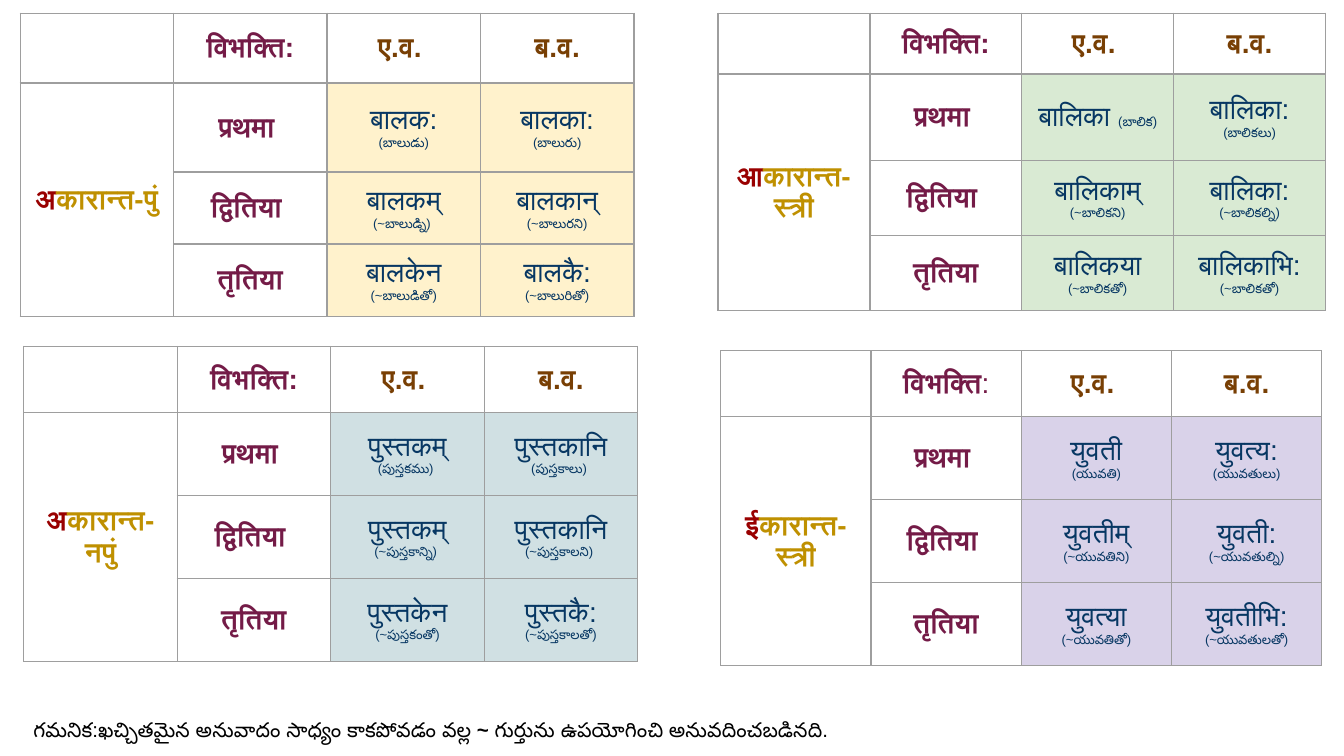
from pptx import Presentation
from pptx.dml.color import RGBColor
from pptx.enum import text
from pptx.oxml.ns import qn
from pptx.util import Cm, Pt
from lxml import etree

FONT = "Arial"
BIG, SMALL, NOTE = 15, 7, 11
PLUM = RGBColor(0x74, 0x1B, 0x47)
BROWN = RGBColor(0x78, 0x3F, 0x04)
RED = RGBColor(0x99, 0x00, 0x00)
GOLD = RGBColor(0xBF, 0x90, 0x00)
NAVY = RGBColor(0x07, 0x37, 0x63)
BLACK = RGBColor(0x00, 0x00, 0x00)
GREY = RGBColor(0x9E, 0x9E, 0x9E)
CREAM = RGBColor(0xFF, 0xF2, 0xCC)
TEAL = RGBColor(0xD0, 0xE0, 0xE3)
LILAC = RGBColor(0xD9, 0xD2, 0xE9)
GREEN = RGBColor(0xD9, 0xEA, 0xD3)

CASES = ["प्रथमा ", "द्वितिया ", "तृतिया"]

# Box (left, top, column width, row heights) in cm; label as first letter and
# rest; one (singular, plural) pair per case, a new line being a new paragraph
TABLES = [
    dict(box=(0.38, 0.25, 2.9, [1.32, 1.68, 1.04, 1.04]), tint=CREAM,
         label=("अ", "कारान्त-पुं"),
         forms=[("बालक:\n(బాలుడు)", "बालका:\n(బాలురు)"),
                ("बालकम्\n(~బాలుడ్ని) ", "बालकान्\n(~బాలురని)"),
                ("बालकेन (~బాలుడితో)", "बालकै: (~బాలురితో)")]),
    dict(box=(0.45, 6.55, 2.9, [1.24, 1.57, 1.57, 1.57]), tint=TEAL,
         label=("अ", "कारान्त-\nनपुं"),
         forms=[("पुस्तकम् (పుస్తకము) ", "पुस्तकानि (పుస్తకాలు) "),
                ("पुस्तकम्\n(~పుస్తకాన్ని) ", "पुस्तकानि\n(~పుస్తకాలని) "),
                ("पुस्तकेन (~పుస్తకంతో)", "पुस्तकै: (~పుస్తకాలతో)")]),
    dict(box=(13.62, 6.63, 2.84, [1.24, 1.57, 1.57, 1.57]), tint=LILAC,
         label=("ई", "कारान्त-स्त्री"), light=True,
         forms=[("युवती\n(యువతి)", "युवत्य:\n(యువతులు)"),
                ("युवतीम् (~యువతిని)", "युवती: (~యువతుల్ని)"),
                ("युवत्या (~యువతితో)", "युवतीभि: (~యువతులతో)")]),
    dict(box=(13.57, 0.25, 2.87, [1.12, 1.63, 1.42, 1.42]), tint=GREEN,
         label=("आ", "कारान्त-स्त्री"),
         forms=[("बालिका (బాలిక)", "बालिका:\n(బాలికలు)"),
                ("बालिकाम् (~బాలికని)", "बालिका: (~బాలికల్ని)"),
                ("बालिकया (~బాలికతో)", "बालिकाभि: (~బాలికతో)")]),
]


def write(frame, parts, align=None):
    """Write (words, size, colour, bold) parts, each newline opening a paragraph."""
    para = frame.paragraphs[0]
    para.alignment = align
    for words, size, color, bold in parts:
        for i, line in enumerate(words.split("\n")):
            if i:
                para = frame.add_paragraph()
                para.alignment = align
            if not line:
                continue
            run = para.add_run()
            run.text = line
            font = run.font
            font.name, font.size, font.bold = FONT, Pt(size), bold
            font.color.rgb = color
            # Indic scripts take the complex-script font
            cs = etree.SubElement(run._r.get_or_add_rPr(), qn("a:cs"))
            cs.set("typeface", FONT)


def pad(item):
    item.margin_left = item.margin_right = Cm(0.25)
    item.margin_top = item.margin_bottom = Cm(0.25)


def edge(cell):
    """Draw the four borders, which must stand before the fill."""
    props = cell._tc.get_or_add_tcPr()
    for i, side in enumerate(("a:lnL", "a:lnR", "a:lnT", "a:lnB")):
        line = etree.Element(qn(side), w=str(Pt(0.75)))
        fill = etree.SubElement(line, qn("a:solidFill"))
        etree.SubElement(fill, qn("a:srgbClr"), val=str(GREY))
        props.insert(i, line)


def fill_cell(cell, parts):
    write(cell.text_frame, parts, text.PP_ALIGN.CENTER)


def add_forms(slide, box, tint, label, forms, light=False):
    left, top, wide, rows = box
    shape = slide.shapes.add_table(len(rows), 4, Cm(left), Cm(top),
                                   Cm(4 * wide), Cm(sum(rows)))
    grid = shape.table
    grid.first_row = grid.horz_banding = False
    for col in grid.columns:
        col.width = Cm(wide)
    for row, high in zip(grid.rows, rows):
        row.height = Cm(high)

    # Frame and fill of every cell
    for r in range(len(rows)):
        for c in range(4):
            cell = grid.cell(r, c)
            pad(cell)
            cell.vertical_anchor = text.MSO_ANCHOR.MIDDLE
            if r and c > 1:
                cell.fill.solid()
                cell.fill.fore_color.rgb = tint
            else:
                cell.fill.background()
            edge(cell)
            if c == 0 and r != 1:
                end = cell.text_frame.paragraphs[0]._p.get_or_add_endParaRPr()
                end.set("sz", str(BIG * 100))

    # Header row
    fill_cell(grid.cell(0, 1), [("विभक्ति", BIG, PLUM, True),
                                (":", BIG, PLUM, not light)])
    for c, head in enumerate(("ए.व. ", "ब.व."), 2):
        fill_cell(grid.cell(0, c), [(head, BIG, BROWN, True)])

    # Stem label down the side
    grid.cell(1, 0).merge(grid.cell(3, 0))
    first, rest = label
    fill_cell(grid.cell(1, 0), [(first, BIG, RED, True), (rest, BIG, GOLD, True)])

    # Cases with their forms and glosses
    for r, (case, pair) in enumerate(zip(CASES, forms), 1):
        fill_cell(grid.cell(r, 1), [(case, BIG, PLUM, True)])
        for c, form in enumerate(pair, 2):
            word, mark, gloss = form.partition("(")
            fill_cell(grid.cell(r, c), [(word, BIG, NAVY, False),
                                        (mark + gloss, SMALL, NAVY, False)])


def add_note(slide, left, top, wide, high):
    frame = slide.shapes.add_textbox(Cm(left), Cm(top), Cm(wide), Cm(high)).text_frame
    frame.word_wrap = True
    frame.auto_size = text.MSO_AUTO_SIZE.SHAPE_TO_FIT_TEXT
    pad(frame)
    write(frame, [("గమనిక:ఖచ్చితమైన అనువాదం సాధ్యం కాకపోవడం వల్ల ", NOTE, BLACK, False),
                  ("~", NOTE, BLACK, True),
                  (" గుర్తును ఉపయోగించి అనువదించబడినది.", NOTE, BLACK, False)])


def main():
    deck = Presentation()
    deck.slide_width, deck.slide_height = Cm(25.4), Cm(14.29)
    slide = deck.slides.add_slide(deck.slide_layouts[6])
    for table in TABLES:
        add_forms(slide, **table)
    add_note(slide, 0.38, 13.31, 18.31, 0.99)
    deck.save("out.pptx")


if __name__ == "__main__":
    main()
